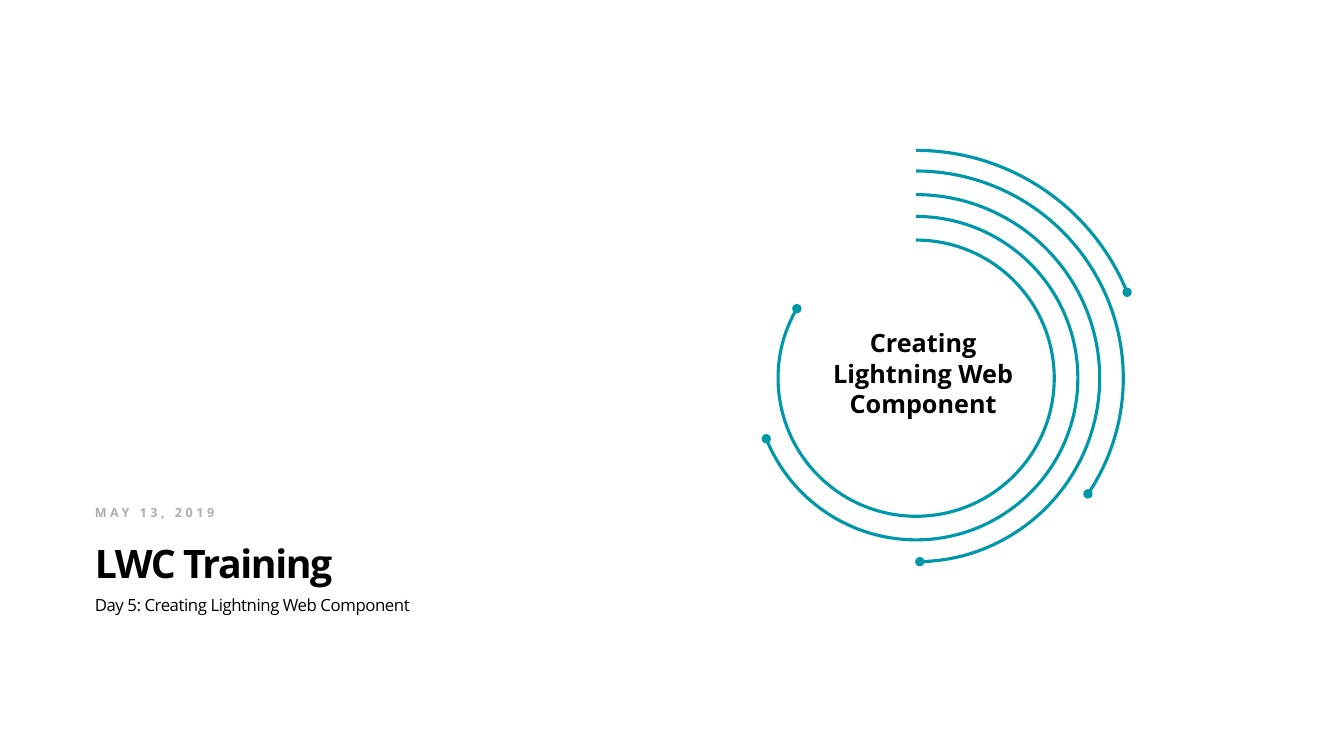
from lxml import etree
from pptx import Presentation
from pptx.dml.color import RGBColor
from pptx.enum import shapes, text
from pptx.oxml import ns
from pptx.util import Cm, Pt


def color(code):
    return RGBColor.from_string(code)


def add_text(page, words, left, top, width, height, size, bold=False, ink="000000",
             spacing=0, before=0, line=1.0, margins=(0, 0, 0, 0),
             anchor=text.MSO_ANCHOR.TOP, align=text.PP_ALIGN.LEFT):
    box = page.shapes.add_textbox(Cm(left), Cm(top), Cm(width), Cm(height))
    frame = box.text_frame
    frame.word_wrap = True
    frame.vertical_anchor = anchor
    frame.margin_left, frame.margin_top, frame.margin_right, frame.margin_bottom = map(Cm, margins)
    para = frame.paragraphs[0]
    para.alignment = align
    para.space_before = Pt(before)
    para.line_spacing = line
    span = para.add_run()
    span.text = words
    span.font.name = "Open Sans"
    span.font.size = Pt(size)
    span.font.bold = bold
    span.font.color.rgb = color(ink)
    if spacing:
        span.font._element.set("spc", str(round(spacing * 100)))


deck = Presentation()
deck.slide_width, deck.slide_height = Cm(33.87), Cm(19.05)
page = deck.slides.add_slide(deck.slide_layouts[6])
page.background.fill.solid()
page.background.fill.fore_color.rgb = color("FFFFFF")

# Title block
add_text(page, "LWC Training", 2.39, 13.41, 12.24, 1.37, 28, bold=True, spacing=-1, line=0.85,
         margins=(0, 0.13, 0.25, 0), anchor=text.MSO_ANCHOR.BOTTOM)
add_text(page, "Day 5: Creating Lightning Web Component", 2.39, 14.99, 12.24, 1.32, 12,
         spacing=-0.3, before=10)
add_text(page, "MAY 13, 2019", 2.39, 12.73, 12.24, 0.97, 9, bold=True, ink="AEAEAE",
         spacing=2.5, before=10)

# Concentric arcs: diameter in cm and end angle in degrees, all starting at the top
center_x, center_y = 23.09, 9.53
arcs = [(11.48, 337.84), (10.44, 33.96), (9.25, 88.85), (8.15, 158), (6.96, 210.23)]
for diameter, end_angle in arcs:
    arc = page.shapes.add_shape(
        shapes.MSO_SHAPE.ARC, Cm(center_x - diameter / 2), Cm(center_y - diameter / 2),
        Cm(diameter), Cm(diameter))
    # Adjustments count 60000 units per degree, divided by 100000
    arc.adjustments[0] = 270 * 0.6
    arc.adjustments[1] = end_angle * 0.6
    arc.shadow.inherit = False
    arc.fill.background()
    arc.line.color.rgb = color("0097A9")
    arc.line.width = Pt(2.25)
    etree.SubElement(arc.line._get_or_add_ln(), ns.qn("a:tailEnd"), type="oval")

# Caption inside the arcs
add_text(page, "Creating Lightning Web Component", 20.65, 8.13, 5.23, 2.57, 18, bold=True,
         margins=(0.25, 0.13, 0.25, 0.13), align=text.PP_ALIGN.CENTER)

deck.save("out.pptx")
